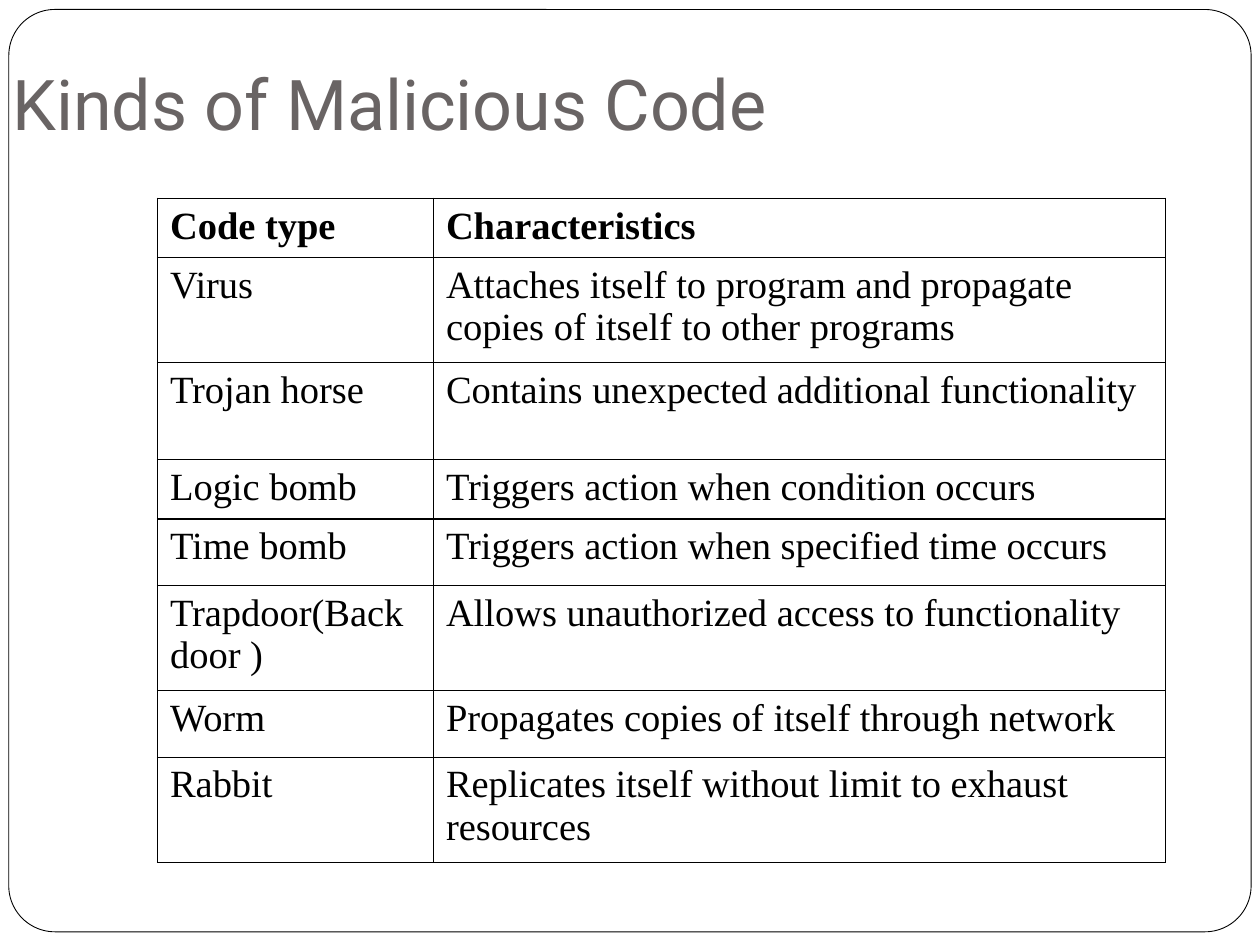
import pptx
import pptx.dml.color
import pptx.enum.shapes
import pptx.enum.text
import pptx.oxml
import pptx.oxml.ns
import pptx.util

COLORS = {"paper": "FFFFFF", "ink": "000000", "title": "696464"}
WIDTH, HEIGHT = 10, 7.5

ROWS = [
    ("Code type", "Characteristics"),
    ("Virus", "Attaches itself to program and propagate copies of itself to other programs"),
    ("Trojan horse", "Contains unexpected additional functionality"),
    ("Logic bomb", "Triggers action when condition occurs"),
    ("Time bomb", "Triggers action when specified time occurs"),
    ("Trapdoor(Backdoor )", "Allows unauthorized access to functionality"),
    ("Worm", "Propagates copies of itself through network"),
    ("Rabbit", "Replicates itself without limit to exhaust resources"),
]
ROW_HEIGHTS = [0.47, 0.83, 0.77, 0.47, 0.53, 0.83, 0.53, 0.83]
COL_WIDTHS = [2.19, 5.81]


def rgb(name):
    return pptx.dml.color.RGBColor.from_string(COLORS[name])


class Deck:
    """Holds the style and the current slide; lengths are shares of the slide."""

    heading_font, body_font = "Roboto", "Times New Roman"
    heading_size, body_size = 40, 22

    def __init__(self):
        self.prs = pptx.Presentation()
        self.prs.slide_width = pptx.util.Inches(WIDTH)
        self.prs.slide_height = pptx.util.Inches(HEIGHT)
        self.slide = self.prs.slides.add_slide(self.prs.slide_layouts[6])

    def box(self, x, y, w, h):
        W, H = self.prs.slide_width, self.prs.slide_height
        return round(x * W), round(y * H), round(w * W), round(h * H)

    def add_text(self, p, text, font, size, color, bold=False):
        r = p.add_run()
        r.text = text
        r.font.name = font
        r.font.size = pptx.util.Pt(size)
        r.font.bold = bold
        r.font.color.rgb = rgb(color)

    def frame(self, x, y, w, h, radius):
        kind = pptx.enum.shapes.MSO_SHAPE.ROUNDED_RECTANGLE
        sp = self.slide.shapes.add_shape(kind, *self.box(x, y, w, h))
        sp.adjustments[0] = radius
        sp.shadow.inherit = False
        sp.fill.solid()
        sp.fill.fore_color.rgb = rgb("paper")
        sp.line.color.rgb = rgb("ink")
        sp.line.width = pptx.util.Pt(0.5)

    def title(self, x, y, w, h, text):
        tf = self.slide.shapes.add_textbox(*self.box(x, y, w, h)).text_frame
        tf.word_wrap = True
        tf.vertical_anchor = pptx.enum.text.MSO_ANCHOR.BOTTOM
        tf.margin_bottom = pptx.util.Inches(0.1)
        self.add_text(tf.paragraphs[0], text, self.heading_font, self.heading_size, "title")

    def borders(self, cell):
        tcPr = cell._tc.get_or_add_tcPr()
        for i, side in enumerate(("lnL", "lnR", "lnT", "lnB")):
            tcPr.insert(i, pptx.oxml.parse_xml(
                f'<a:{side} {pptx.oxml.ns.nsdecls("a")} w="12700"><a:solidFill>'
                f'<a:srgbClr val="{COLORS["ink"]}"/></a:solidFill></a:{side}>'))

    def table(self, x, y, rows, widths, heights):
        area = self.box(x, y, sum(widths) / WIDTH, sum(heights) / HEIGHT)
        table = self.slide.shapes.add_table(len(rows), len(widths), *area).table
        for column, width in zip(table.columns, widths):
            column.width = pptx.util.Inches(width)
        for i, (row, height) in enumerate(zip(rows, heights)):
            table.rows[i].height = pptx.util.Inches(height)
            for j, text in enumerate(row):
                cell = table.cell(i, j)
                cell.fill.background()
                self.borders(cell)
                self.add_text(cell.text_frame.paragraphs[0], text, self.body_font,
                              self.body_size, "ink", bold=i == 0)


def main():
    deck = Deck()
    # Rounded page frame
    deck.frame(0.007, 0.01, 0.986, 0.976, radius=0.05)
    # Heading
    deck.title(0, 0, 0.9, 1 / 6, "Kinds of Malicious Code")
    # Code types and what they do
    deck.table(0.125, 0.21, ROWS, COL_WIDTHS, ROW_HEIGHTS)
    deck.prs.save("out.pptx")


if __name__ == "__main__":
    main()
